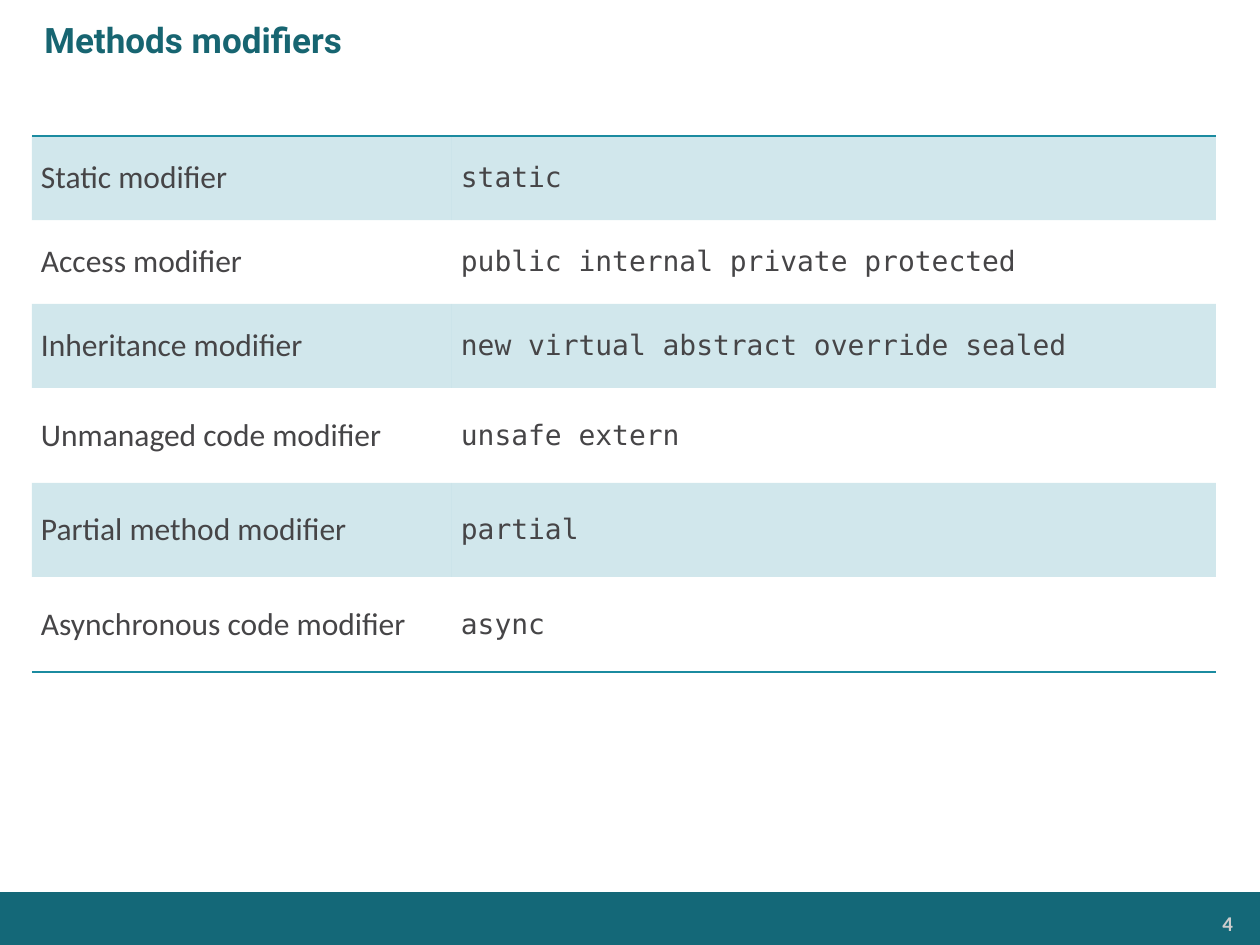
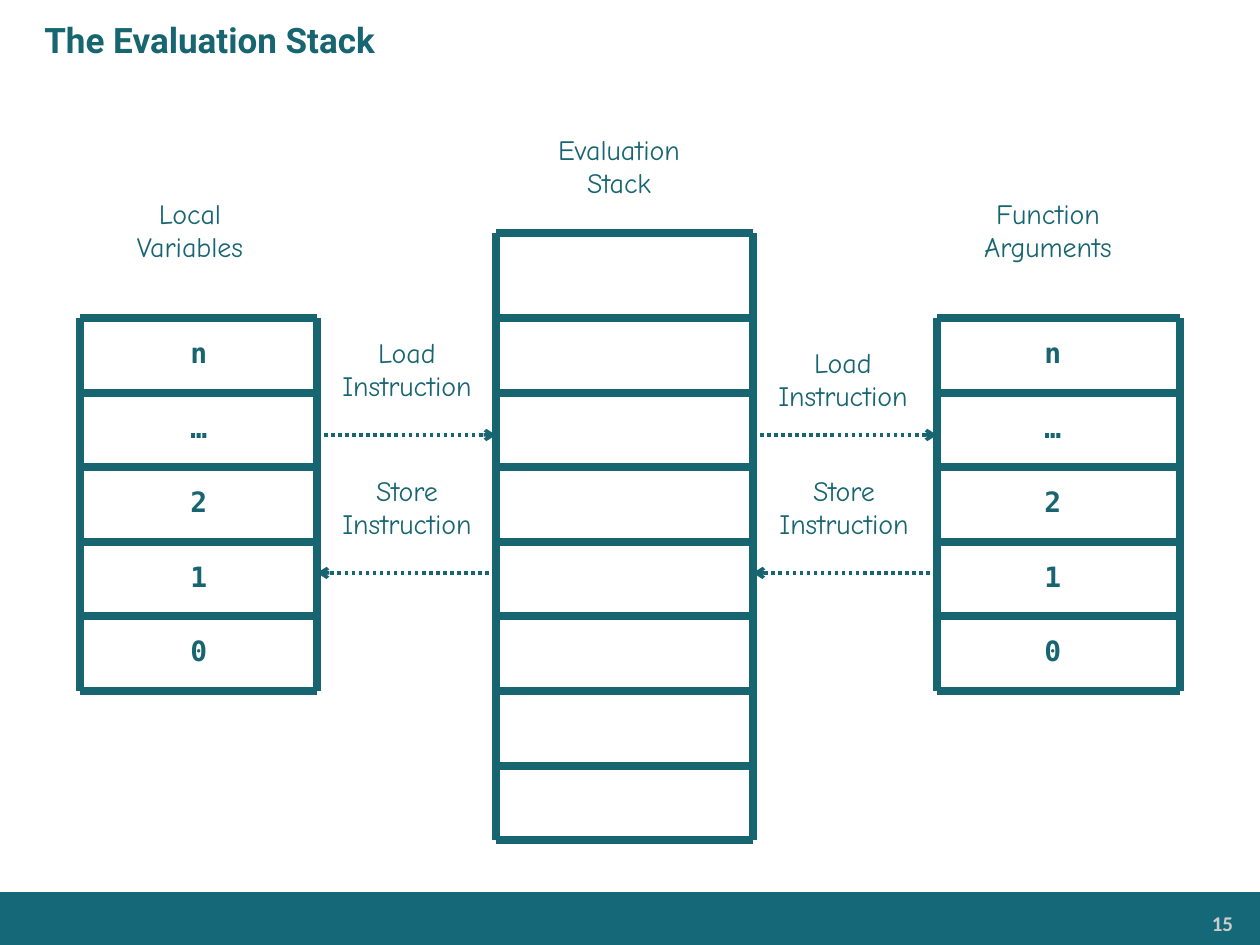
"""Build two lecture slides: a table of method modifiers and the evaluation stack."""
import lxml.etree as etree
import pptx
import pptx.dml.color
import pptx.enum.dml
import pptx.enum.shapes
import pptx.enum.text
import pptx.oxml.ns
import pptx.util

PX = 914400 / 126
ALIGN = pptx.enum.text.PP_ALIGN
ANCHOR = pptx.enum.text.MSO_ANCHOR
PLAIN_TABLE = "{2D5ABB26-0587-4C30-8999-92F81FD0307C}"


def px(length):
    return pptx.util.Emu(round(length * PX))


def rgb(value):
    return pptx.dml.color.RGBColor.from_string(value)


def child(parent, tag, **attributes):
    return etree.SubElement(parent, pptx.oxml.ns.qn(tag), attributes)


def write(frame, text, size=16, font="Comic Neue", color="176571", bold=False,
          align=ALIGN.LEFT, indent=0):
    for number, line in enumerate(text.split("\n")):
        paragraph = frame.paragraphs[0] if number == 0 else frame.add_paragraph()
        if indent:
            paragraph._p.get_or_add_pPr().set("marL", str(px(indent)))
        paragraph.alignment = align
        run = paragraph.add_run()
        run.text = line
        run.font.size = pptx.util.Pt(size)
        run.font.name = font
        run.font.bold = bold
        run.font.color.rgb = rgb(color)


class Deck:
    ink, band, accent = "176571", "146878", "1B8BA0"
    body, pale = "464547", "CCCCCC"
    mono = "DejaVu Sans Mono"

    def __init__(self):
        self.show = pptx.Presentation()
        self.show.slide_width, self.show.slide_height = px(1260), px(945)
        self.slide = None

    def page(self, title, number):
        self.slide = self.show.slides.add_slide(self.show.slide_layouts[6])
        self.bar(0, 892, 1261, 54)
        self.text(1037, 906, 205, 35, number, insets=(9, 5), size=12,
                  font="Calibri", color=self.pale, bold=True, align=ALIGN.RIGHT)
        self.text(0, 0, 1260, 79, title, anchor=ANCHOR.MIDDLE, size=20,
                  font="Roboto", bold=True, indent=32)

    def bar(self, left, top, width, height):
        bar = self.slide.shapes.add_shape(
            pptx.enum.shapes.MSO_SHAPE.RECTANGLE,
            px(left), px(top), px(width), px(height))
        bar.shadow.inherit = False
        bar.fill.solid()
        bar.fill.fore_color.rgb = rgb(self.band)
        bar.line.fill.background()

    def text(self, left, top, width, height, text, insets=None,
             anchor=ANCHOR.TOP, wrap=True, **style):
        frame = self.slide.shapes.add_textbox(
            px(left), px(top), px(width), px(height)).text_frame
        frame.word_wrap = wrap
        frame.vertical_anchor = anchor
        if insets:
            frame.margin_left = frame.margin_right = px(insets[0])
            frame.margin_top = frame.margin_bottom = px(insets[1])
        write(frame, text, **style)

    def caption(self, center, top, text, width=168, height=81, **style):
        self.text(center - width / 2, top, width, height, text, wrap=False,
                  align=ALIGN.CENTER, **style)

    def line(self, x1, y1, x2, y2, weight=4.5, arrow=False):
        line = self.slide.shapes.add_connector(
            pptx.enum.shapes.MSO_CONNECTOR.STRAIGHT, px(x1), px(y1), px(x2), px(y2))
        line.line.color.rgb = rgb(self.ink)
        line.line.width = pptx.util.Pt(weight)
        if arrow:
            line.line.dash_style = pptx.enum.dml.MSO_LINE.ROUND_DOT
            child(line.line._get_or_add_ln(), "a:tailEnd", type="arrow")
        child(line._element.spPr, "a:effectLst")

    def arrow(self, start, end, y):
        self.line(start, y, end, y, weight=2, arrow=True)

    def stack(self, left, right, levels):
        for x in (left, right):
            self.line(x, levels[0], x, levels[-1])
        for y in levels:
            self.line(left, y, right, y)

    def cell(self, cell, text, shaded, edge, **style):
        cell.vertical_anchor = ANCHOR.MIDDLE
        cell.margin_left = cell.margin_right = px(9)
        cell.margin_top = cell.margin_bottom = px(6)
        write(cell.text_frame, text, color=self.body, **style)
        properties = cell._tc.get_or_add_tcPr()
        if edge:
            border = child(properties, edge, w=str(pptx.util.Pt(1)))
            child(child(border, "a:solidFill"), "a:srgbClr", val=self.accent)
        if shaded:
            cell.fill.solid()
            cell.fill.fore_color.rgb = rgb(self.accent)
            tint = properties.find(pptx.oxml.ns.qn("a:solidFill"))
            child(tint[0], "a:alpha", val="20000")
        else:
            cell.fill.background()

    def table(self, left, top, widths, heights, rows):
        table = self.slide.shapes.add_table(
            len(rows), len(widths), px(left), px(top),
            px(sum(widths)), px(sum(heights))).table
        table.first_row = table.horz_banding = False
        table._tbl.tblPr.find(pptx.oxml.ns.qn("a:tableStyleId")).text = PLAIN_TABLE
        for column, width in zip(table.columns, widths):
            column.width = px(width)
        edges = {0: "a:lnT", len(rows) - 1: "a:lnB"}
        for number, (kind, keywords) in enumerate(rows):
            table.rows[number].height = px(heights[number])
            shaded, edge = number % 2 == 0, edges.get(number)
            self.cell(table.cell(number, 0), kind, shaded, edge,
                      size=18, font="Calibri")
            self.cell(table.cell(number, 1), keywords, shaded, edge, font=self.mono)


def modifiers(deck):
    deck.page("Methods modifiers", "4")
    deck.table(32, 136, (420, 764), (84, 84, 84, 95, 94, 95), [
        ("Static modifier", "static"),
        ("Access modifier", "public internal private protected"),
        ("Inheritance modifier", "new virtual abstract override sealed"),
        ("Unmanaged code modifier", "unsafe extern"),
        ("Partial method modifier", "partial"),
        ("Asynchronous code modifier", "async"),
    ])


def evaluation_stack(deck):
    deck.page("The Evaluation Stack", "15")
    levels = [318 + round(74.6 * step) for step in range(8)]
    variables, evaluation, arguments = (80, 317), (496, 753), (937, 1180)
    deck.stack(*variables, levels[:6])
    deck.stack(*evaluation, [233] + levels)
    deck.stack(*arguments, levels[:6])
    for center in (198, 1052):
        for level, slot in zip(levels, "n…210"):
            deck.caption(center, level + 11, slot, width=40, height=46,
                         font=deck.mono, bold=True)
    for center, top, text in (
            (190, 190, "Local\nVariables"),
            (619, 126, "Evaluation\nStack"),
            (1048, 190, "Function\nArguments"),
            (407, 329, "Load\nInstruction"),
            (407, 467, "Store\nInstruction"),
            (843, 339, "Load\nInstruction"),
            (844, 467, "Store\nInstruction")):
        deck.caption(center, top, text)
    for left, right in ((variables[1], evaluation[0]), (evaluation[1], arguments[0])):
        deck.arrow(left, right, 435)
        deck.arrow(right, left, 573)


def main():
    deck = Deck()
    modifiers(deck)
    evaluation_stack(deck)
    deck.show.save("out.pptx")


if __name__ == "__main__":
    main()
